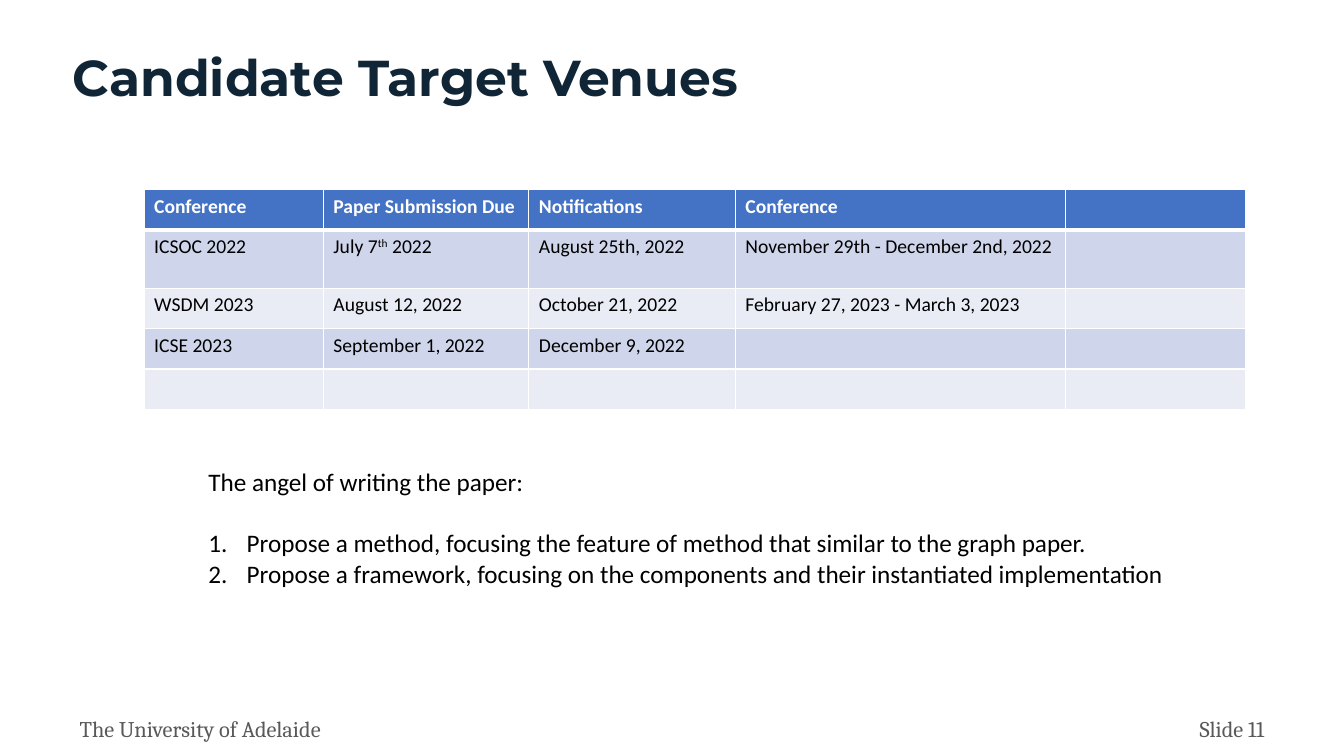
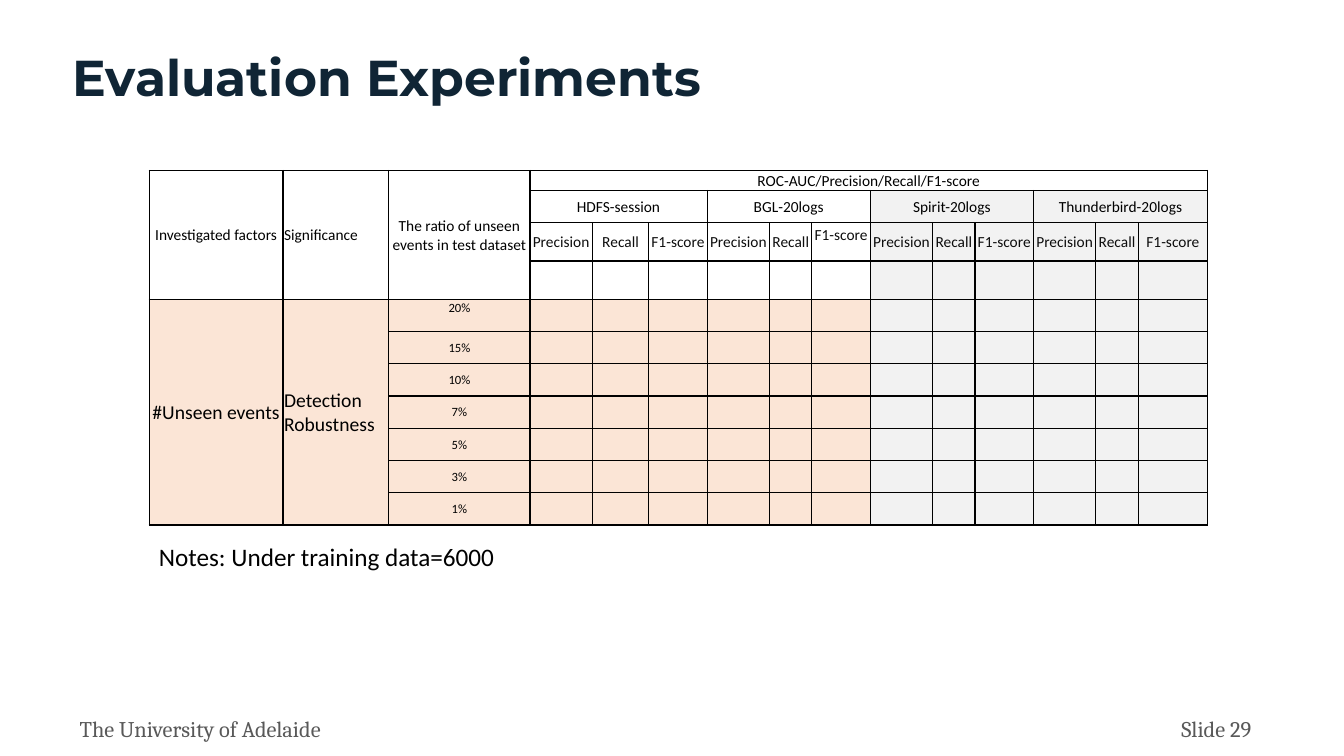
from lxml import etree
from pptx import Presentation
from pptx.dml.color import RGBColor
from pptx.enum.text import MSO_ANCHOR, PP_ALIGN
from pptx.oxml.ns import qn
from pptx.util import Inches, Pt

LEFT, CENTER, RIGHT = PP_ALIGN.LEFT, PP_ALIGN.CENTER, PP_ALIGN.RIGHT
TOP, MIDDLE = MSO_ANCHOR.TOP, MSO_ANCHOR.MIDDLE

WHITE = RGBColor(0xFF, 0xFF, 0xFF)
BLACK = RGBColor(0x00, 0x00, 0x00)
NEAR_BLACK = RGBColor(0x0D, 0x0D, 0x0D)
NAVY = RGBColor(0x10, 0x25, 0x35)
GREY = RGBColor(0x59, 0x59, 0x59)
BLUE = RGBColor(0x44, 0x72, 0xC4)
BAND_DARK = RGBColor(0xCF, 0xD5, 0xEA)
BAND_LIGHT = RGBColor(0xE9, 0xEB, 0xF5)
PALE_GREY = RGBColor(0xF2, 0xF2, 0xF2)
PEACH = RGBColor(0xFB, 0xE5, 0xD6)

TITLE = {"name": "Montserrat", "size": Pt(36), "bold": True, "color": NAVY}
FOOTER = {"name": "Cambria", "size": Pt(16), "bold": False, "color": GREY}
BODY = {"name": "Calibri", "size": Pt(18), "bold": False, "color": BLACK}
VENUE = {**BODY, "size": Pt(14)}
VENUE_HEAD = {**VENUE, "bold": True, "color": WHITE}
LABEL = {**BODY, "size": Pt(11)}
METRIC = {**LABEL, "color": NEAR_BLACK}
FACTOR = {**BODY, "size": Pt(14)}
RATIO = {**BODY, "size": Pt(9)}


def write(frame, lines, style, align=LEFT):
    """Fill a text frame; within a line, text between carets is superscript."""
    frame.word_wrap = True
    for index, line in enumerate(lines):
        para = frame.paragraphs[0] if index == 0 else frame.add_paragraph()
        para.alignment = align
        for part, text in enumerate(line.split("^")):
            span = para.add_run()
            span.text = text
            for name in ("name", "size", "bold"):
                setattr(span.font, name, style[name])
            span.font.color.rgb = style["color"]
            if part % 2:
                span.font._element.set("baseline", "30000")


def format_cell(cell, fill, line_color, widths):
    """Set the fill and the left, right, top and bottom border widths in points."""
    properties = cell._tc.get_or_add_tcPr()
    for side, width in zip("LRTB", widths):
        line = etree.SubElement(properties, qn(f"a:ln{side}"), w=str(Pt(width)))
        solid = etree.SubElement(line, qn("a:solidFill"))
        etree.SubElement(solid, qn("a:srgbClr"), val=str(line_color))
    cell.fill.solid()
    cell.fill.fore_color.rgb = fill
    end = cell.text_frame.paragraphs[0]._p.get_or_add_endParaRPr()
    end.set("sz", "900")


deck = Presentation()
deck.slide_width, deck.slide_height = Inches(13.34), Inches(7.5)

# Title, footer and table frame of each page
frames = [
    ("Candidate Target Venues", "Slide 11", 9.92, (1.43, 1.88),
     [1.78, 2.04, 2.05, 3.28, 1.78], [0.4, 0.58, 0.4, 0.4, 0.4]),
    ("Evaluation Experiments", "Slide 29", 9.79, (1.48, 1.69),
     [1.33, 1.05, 1.4, 0.62, 0.56, 0.58] + [0.62, 0.42, 0.58] * 2 + [0.62, 0.42, 0.69],
     [0.2, 0.32, 0.38, 0.38] + [0.32] * 7),
]
pages, tables = [], []
for title, number, number_left, corner, columns, rows in frames:
    page = deck.slides.add_slide(deck.slide_layouts[6])
    box = page.shapes.add_textbox(Inches(0.62), Inches(0.41), Inches(12.1), Inches(0.71))
    write(box.text_frame, [title], TITLE)
    for text, left, width, align in (("The University of Adelaide", 0.79, 5.25, LEFT),
                                     (number, number_left, 2.63, RIGHT)):
        box = page.shapes.add_textbox(Inches(left), Inches(7.09), Inches(width), Inches(0.2))
        for margin in ("margin_left", "margin_top", "margin_right", "margin_bottom"):
            setattr(box.text_frame, margin, 0)
        write(box.text_frame, [text], FOOTER, align)

    table = page.shapes.add_table(len(rows), len(columns), *map(Inches, corner),
                                  Inches(sum(columns)), Inches(sum(rows))).table
    table.first_row = table.horz_banding = False
    for column, width in zip(table.columns, columns):
        column.width = Inches(width)
    for row, height in zip(table.rows, rows):
        row.height = Inches(height)
    pages.append(page)
    tables.append(table)

venues_page, results_page = pages
venues, results = tables

# Venues
venue_rows = [
    ["Conference", "Paper Submission Due", "Notifications", "Conference", ""],
    ["ICSOC 2022", "July 7^th^ 2022", "August 25th, 2022",
     "November 29th - December 2nd, 2022", ""],
    ["WSDM 2023", "August 12, 2022", "October 21, 2022",
     "February 27, 2023 - March 3, 2023", ""],
    ["ICSE 2023", "September 1, 2022", "December 9, 2022", "", ""],
    [""] * 5,
]
for row, texts in enumerate(venue_rows):
    band = BAND_DARK if row % 2 else BAND_LIGHT
    for column, text in enumerate(texts):
        cell = venues.cell(row, column)
        format_cell(cell, band if row else BLUE, WHITE,
                    (1, 1, 3 if row == 1 else 1, 1 if row else 3))
        if text:
            write(cell.text_frame, [text], VENUE if row else VENUE_HEAD)

box = venues_page.shapes.add_textbox(Inches(1.97), Inches(4.58), Inches(9.78), Inches(1.31))
write(box.text_frame, [
    "The angel of writing the paper:",
    "Propose a method, focusing the feature of method that similar to the graph paper.",
    "Propose a framework, focusing on the components and their instantiated implementation",
], BODY)
intro, *proposals = box.text_frame.paragraphs
intro.space_after = Pt(22)
for para in proposals:
    properties = para._p.get_or_add_pPr()
    properties.set("marL", str(Inches(0.38)))
    properties.set("indent", str(-Inches(0.38)))
    etree.SubElement(properties, qn("a:buFont"), typeface="+mj-lt")
    etree.SubElement(properties, qn("a:buAutoNum"), type="arabicPeriod")

# Experiment results
HEAD_ROWS, GROUP_START, GREY_START = 4, 3, 9
last_row, last_column = len(results.rows) - 1, len(results.columns) - 1
for row in range(last_row + 1):
    for column in range(last_column + 1):
        cell = results.cell(row, column)
        fill = WHITE if row < HEAD_ROWS else PEACH
        if row and column >= GREY_START:
            fill = PALE_GREY
        format_cell(cell, fill, BLACK, (1, 1, 1, 1))
        cell.margin_left = cell.margin_right = cell.margin_top = Inches(0.01)
        cell.margin_bottom = 0
        cell.vertical_anchor = MIDDLE

# Each entry: text, style, alignment, first row and column, last row and column
entries = [
    ("Investigated factors", LABEL, CENTER, 0, 0, 3, 0),
    ("Significance", LABEL, LEFT, 0, 1, 3, 1),
    ("The ratio of unseen events in test dataset", LABEL, CENTER, 0, 2, 3, 2),
    ("ROC-AUC/Precision/Recall/F1-score", LABEL, CENTER, 0, GROUP_START, 0, last_column),
    ("#Unseen events", FACTOR, CENTER, HEAD_ROWS, 0, last_row, 0),
    ("Detection Robustness", FACTOR, LEFT, HEAD_ROWS, 1, last_row, 1),
]
datasets = ["HDFS-session", "BGL-20logs", "Spirit-20logs", "Thunderbird-20logs"]
metrics = ["Precision", "Recall", "F1-score"]
for group, dataset in enumerate(datasets):
    first = GROUP_START + group * len(metrics)
    entries.append((dataset, LABEL, CENTER, 1, first, 1, first + len(metrics) - 1))
    for column, metric in enumerate(metrics, first):
        entries.append((metric, METRIC, CENTER, 2, column, 2, column))
for row, ratio in enumerate(["20%", "15%", "10%", "7%", "5%", "3%", "1%"], HEAD_ROWS):
    entries.append((ratio, RATIO, CENTER, row, 2, row, 2))

for text, style, align, top, left, bottom, right in entries:
    cell = results.cell(top, left)
    if (top, left) != (bottom, right):
        cell.merge(results.cell(bottom, right))
    write(cell.text_frame, [text], style, align)

# Two entries sit at the top of their cells
for row, column, margin in ((2, 8, 0.03), (HEAD_ROWS, 2, 0.01)):
    cell = results.cell(row, column)
    cell.vertical_anchor = TOP
    cell.margin_top = Inches(margin)

box = results_page.shapes.add_textbox(Inches(1.48), Inches(5.32), Inches(3.94), Inches(0.4))
write(box.text_frame, ["Notes: Under training data=6000"], BODY)

deck.save("out.pptx")
